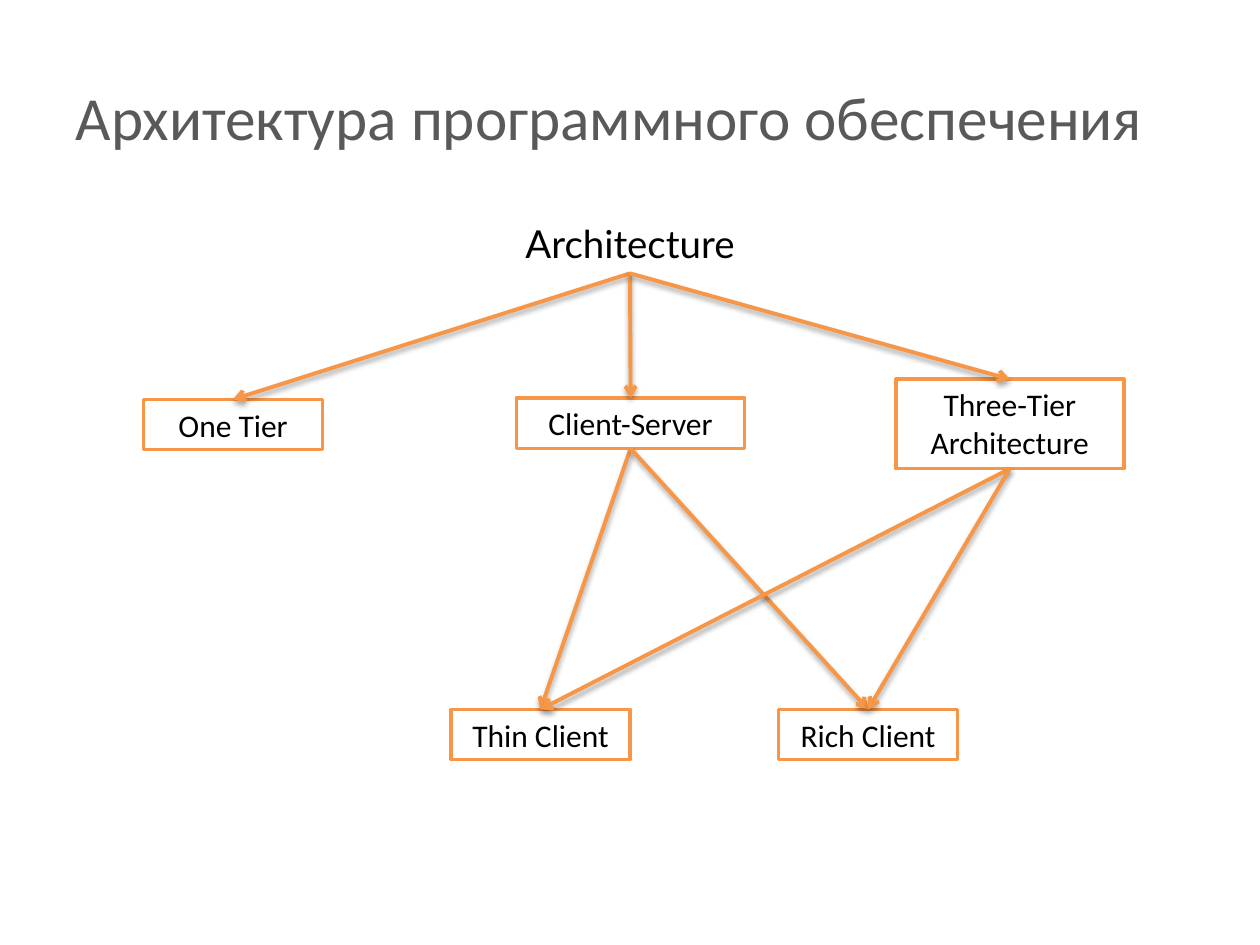
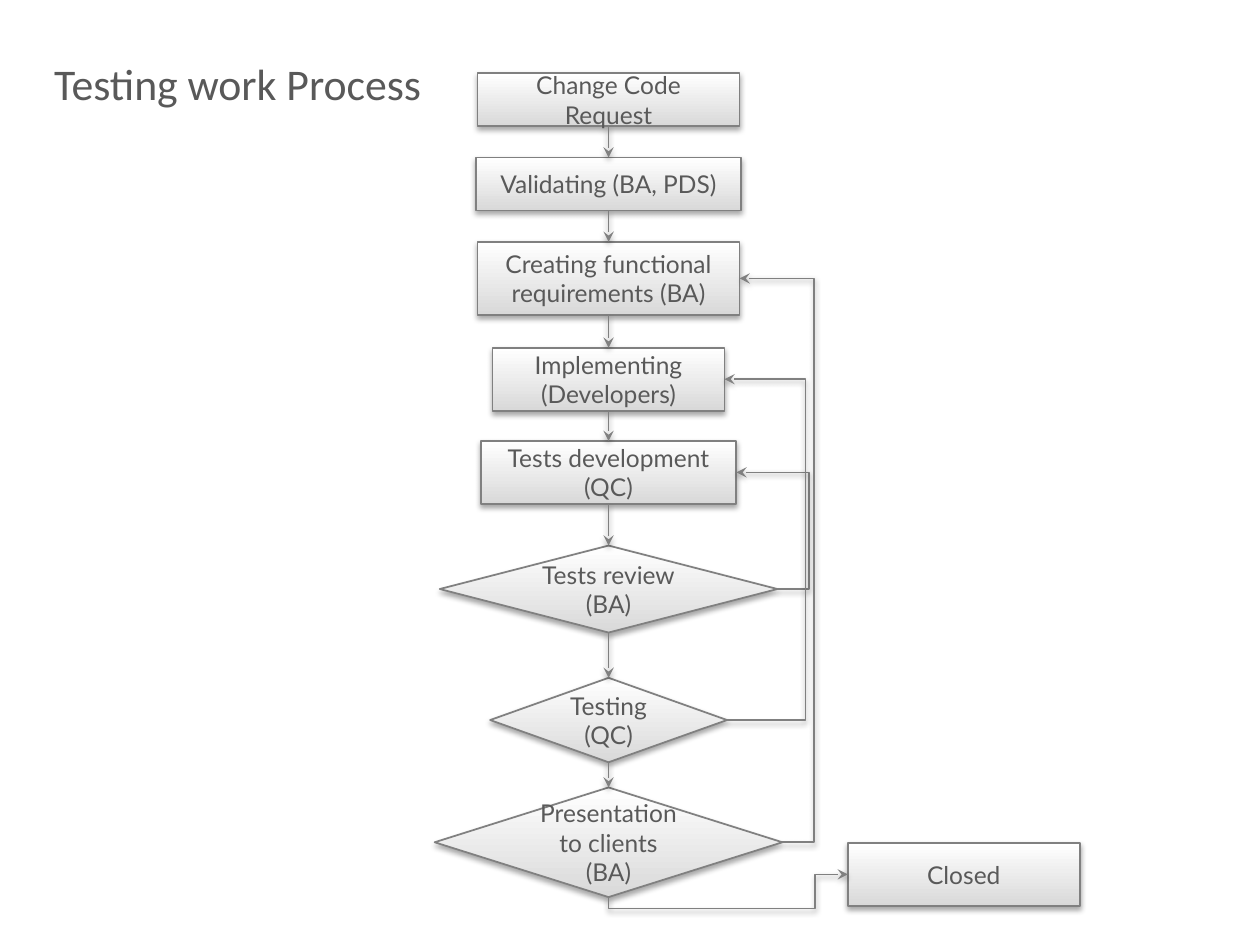
from itertools import pairwise

from lxml.etree import SubElement
from pptx import Presentation
from pptx.dml.color import RGBColor
from pptx.enum.shapes import MSO_CONNECTOR, MSO_SHAPE
from pptx.enum.text import MSO_ANCHOR, MSO_AUTO_SIZE, PP_ALIGN
from pptx.oxml.ns import qn
from pptx.util import Inches, Pt

COLORS = {
    "white": "FFFFFF",
    "black": "000000",
    "text": "595959",
    "orange": "F79646",
    "gray": "808080",
    "light_gray": "D9D9D9",
}
TOP, LEFT, BOTTOM, RIGHT = range(4)  # connection sites of a shape


def rgb(name):
    return RGBColor.from_string(COLORS[name])


def write(shape, text, size=14, font="Lato", color="text",
          align=PP_ALIGN.CENTER, anchor=MSO_ANCHOR.MIDDLE,
          wrap=True, auto_size=MSO_AUTO_SIZE.NONE):
    frame = shape.text_frame
    frame.text = text
    frame.word_wrap = wrap
    frame.auto_size = auto_size
    frame.vertical_anchor = anchor
    for paragraph in frame.paragraphs:
        paragraph.alignment = align
        paragraph.font.size = Pt(size)
        paragraph.font.name = font
        paragraph.font.color.rgb = rgb(color)


def add_shadow(shape):
    """Give the shape a soft shadow that falls straight down."""
    properties = shape._element.spPr
    for old in properties.findall(qn("a:effectLst")):
        properties.remove(old)
    effects = SubElement(properties, qn("a:effectLst"))
    shadow = SubElement(effects, qn("a:outerShdw"), blurRad="40000",
                        dist="23000", dir="5400000", rotWithShape="0")
    color = SubElement(shadow, qn("a:srgbClr"), val=COLORS["black"])
    SubElement(color, qn("a:alpha"), val="35000")


def set_adjustments(connector, *values):
    guides = connector._element.spPr.find(qn("a:prstGeom")).get_or_add_avLst()
    for number, value in enumerate(values, 1):
        SubElement(guides, qn("a:gd"), name=f"adj{number}",
                   fmla=f"val {round(value * 100000)}")


class Deck:
    def __init__(self):
        self.presentation = Presentation()
        self.presentation.slide_width = Inches(10)
        self.presentation.slide_height = Inches(7.5)
        self.slide = None

    def new_slide(self, title, left, top, width, height, size):
        layout = self.presentation.slide_layouts[5]
        self.slide = self.presentation.slides.add_slide(layout)
        shape = self.slide.shapes.title
        shape.left, shape.top = Inches(left), Inches(top)
        shape.width, shape.height = Inches(width), Inches(height)
        write(shape, title, size=size, font="Calibri", align=PP_ALIGN.LEFT,
              anchor=MSO_ANCHOR.TOP, wrap=False)

    def label(self, text, left, top, width, height, size):
        shape = self.slide.shapes.add_textbox(
            Inches(left), Inches(top), Inches(width), Inches(height))
        write(shape, text, size=size, color="black", anchor=MSO_ANCHOR.TOP)
        return shape

    def shape(self, kind, left, top, width, height, line, line_width):
        shape = self.slide.shapes.add_shape(
            kind, Inches(left), Inches(top), Inches(width), Inches(height))
        shape.shadow.inherit = False
        shape.line.color.rgb = rgb(line)
        shape.line.width = Pt(line_width)
        return shape

    def outlined_box(self, text, left, top, width, height=0.4):
        shape = self.shape(MSO_SHAPE.RECTANGLE, left, top, width, height, "orange", 2)
        shape.fill.solid()
        shape.fill.fore_color.rgb = rgb("white")
        write(shape, text, size=18, font="Calibri", color="black",
              anchor=MSO_ANCHOR.TOP, auto_size=MSO_AUTO_SIZE.SHAPE_TO_FIT_TEXT)
        return shape

    def step(self, text, center, top, width, height, kind=MSO_SHAPE.RECTANGLE):
        shape = self.shape(kind, center - width / 2, top, width, height, "gray", 1)
        shape.fill.gradient()
        shape.fill.gradient_angle = 90
        for stop, color in zip(shape.fill.gradient_stops, ("light_gray", "white")):
            stop.color.rgb = rgb(color)
        add_shadow(shape)
        write(shape, text)
        return shape

    def connector(self, kind, color, width, head, points=(0, 0, 0, 0)):
        connector = self.slide.shapes.add_connector(kind, *points)
        connector.line.color.rgb = rgb(color)
        connector.line.width = Pt(width)
        SubElement(connector.line._get_or_add_ln(), qn("a:tailEnd"), type=head)
        add_shadow(connector)
        return connector

    def arrow_down(self, source, target, color="gray", width=1, head="stealth"):
        connector = self.connector(MSO_CONNECTOR.STRAIGHT, color, width, head)
        connector.begin_connect(source, BOTTOM)
        connector.end_connect(target, TOP)

    def arrow_back(self, source, target, lane):
        """Return from the right of source to the right of target along x = lane."""
        connector = self.connector(MSO_CONNECTOR.ELBOW, "gray", 1, "stealth")
        connector.begin_connect(source, RIGHT)
        connector.end_connect(target, RIGHT)
        run = connector.end_x - connector.begin_x
        set_adjustments(connector, (Inches(lane) - connector.begin_x) / run)

    def arrow_under(self, source, target, lane, depth):
        """Leave source downwards to y = depth, then rise at x = lane into target."""
        start_x = source.left + source.width // 2
        start_y = source.top + source.height
        end_x, end_y = target.left, target.top + target.height // 2
        across, rise = end_x - start_x, start_y - end_y
        # The frame is turned by 90 degrees about its centre, so its sides swap.
        left = (start_x + end_x - rise) // 2
        top = (start_y + end_y - across) // 2
        connector = self.connector(MSO_CONNECTOR.ELBOW, "gray", 1, "stealth",
                                   (left + rise, top + across, left, top))
        properties = connector._element.spPr
        properties.find(qn("a:xfrm")).set("rot", "5400000")
        properties.find(qn("a:prstGeom")).set("prst", "bentConnector4")
        set_adjustments(connector, (start_y - Inches(depth)) / rise,
                        (Inches(lane) - start_x) / across)


def build_architecture(deck):
    deck.new_slide("Архитектура программного обеспечения", 0.5, 0.58, 8.75, 0.69, 35)
    one_tier = deck.outlined_box("One Tier", 1.14, 3.17, 1.42)
    client_server = deck.outlined_box("Client-Server", 4.1, 3.16, 1.81)
    three_tier = deck.outlined_box("Three-Tier Architecture", 7.11, 3.01, 1.81, 0.71)
    clients = [deck.outlined_box(text, left, 5.63, 1.42)
               for text, left in (("Thin Client", 3.58), ("Rich Client", 6.18))]
    root = deck.label("Architecture", 3.89, 1.7, 2.22, 0.47, 22)

    branches = ((root, (one_tier, client_server, three_tier)),
                (client_server, clients), (three_tier, clients))
    for parent, children in branches:
        for child in children:
            deck.arrow_down(parent, child, "orange", 2.25, "arrow")


def build_testing_process(deck):
    deck.new_slide("Testing work Process", 0.33, 0.4, 3.15, 0.52, 25)
    center = 4.83
    decision = MSO_SHAPE.FLOWCHART_DECISION
    steps = [deck.step(text, center, *place) for text, *place in (
        ("Change Code Request", 0.58, 2.08, 0.42),
        ("Validating (BA, PDS)", 1.25, 2.1, 0.42),
        ("Creating functional requirements (BA)", 1.92, 2.08, 0.58),
        ("Implementing\n(Developers)", 2.76, 1.84, 0.5),
        ("Tests development\n(QC)", 3.5, 2.03, 0.5),
        ("Tests review\n(BA)", 4.33, 2.68, 0.69, decision),
        ("Testing\n(QC)", 5.38, 1.88, 0.67, decision),
        ("Presentation to clients\n(BA)", 6.25, 2.76, 0.87, decision),
    )]
    closed = deck.step("Closed", 7.65, 6.69, 1.84, 0.5)
    for source, target in pairwise(steps):
        deck.arrow_down(source, target)

    requirements, implementing, development, review, testing, demonstration = steps[2:]
    deck.arrow_under(demonstration, closed, lane=6.47, depth=7.21)
    deck.arrow_back(review, development, lane=6.42)
    deck.arrow_back(testing, implementing, lane=6.39)
    deck.arrow_back(demonstration, requirements, lane=6.46)


def main():
    deck = Deck()
    build_architecture(deck)
    build_testing_process(deck)
    deck.presentation.save("out.pptx")


if __name__ == "__main__":
    main()
